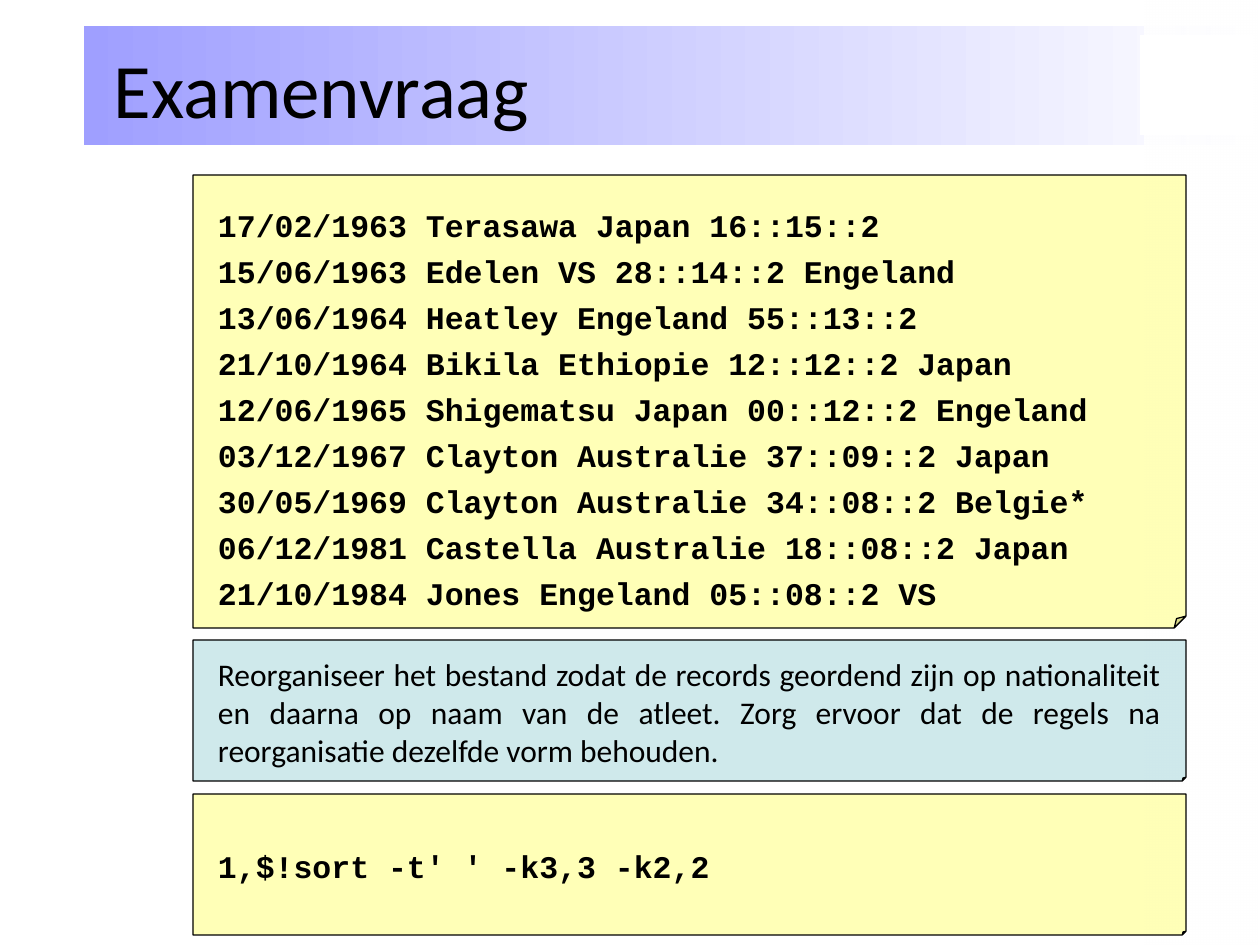
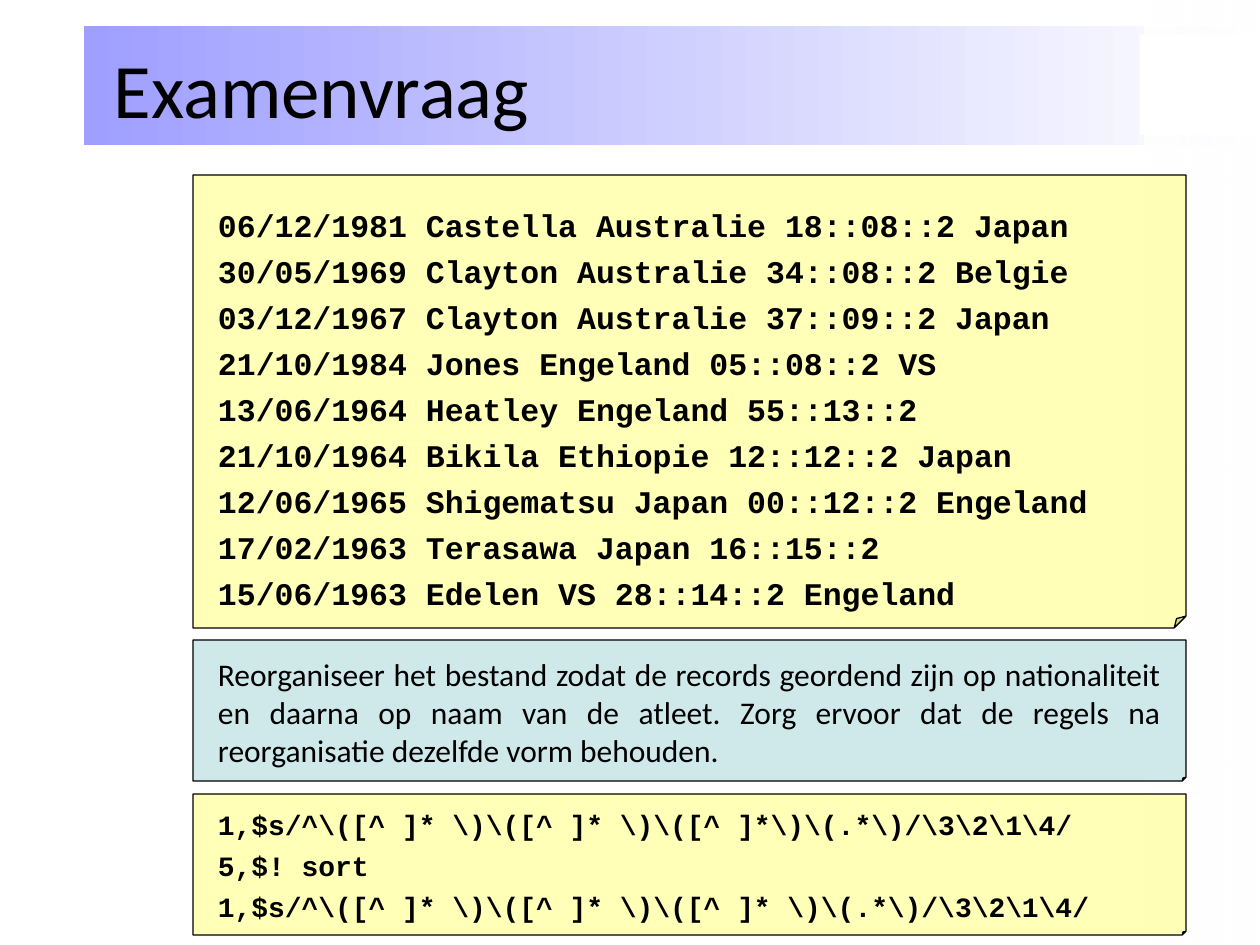
"""Build two exam-question slides about sorting marathon records."""
from dataclasses import dataclass

from lxml import etree
from pptx import Presentation
from pptx.dml.color import RGBColor
from pptx.enum.shapes import MSO_SHAPE
from pptx.enum.text import MSO_ANCHOR, MSO_AUTO_SIZE, PP_ALIGN
from pptx.oxml.ns import qn
from pptx.util import Emu, Pt

RECTANGLE = MSO_SHAPE.RECTANGLE
FOLDED_CORNER = MSO_SHAPE.FOLDED_CORNER
TOP, MIDDLE = MSO_ANCHOR.TOP, MSO_ANCHOR.MIDDLE
LEFT, JUSTIFY = PP_ALIGN.LEFT, PP_ALIGN.JUSTIFY
NO_AUTOFIT = MSO_AUTO_SIZE.NONE

PX_PER_INCH = 126
TITLE_ONLY = 5
BLACK, WHITE, LILAC, YELLOW, TEAL = "000000", "FFFFFF", "9F9FFF", "FFFF99", "BBE0E3"
SANS, MONO = "Calibri", "Courier New"
NOTE_OPACITY = 70
NOTE_FOLD = 2600
NOTE_LEFT, NOTE_WIDTH = 193, 993
NOTE_INSET, NOTE_TOP_INSET = 25, 31
LINE_GAP = 0.26

TITLE = "Examenvraag"
TASK = (
    "Reorganiseer het bestand zodat de records geordend zijn op nationaliteit "
    "en daarna op naam van de atleet. Zorg ervoor dat de regels na "
    "reorganisatie dezelfde vorm behouden."
)


@dataclass(frozen=True)
class Block:
    """A borderless rectangle whose fill fades from one colour to another."""
    left: int
    top: int
    width: int
    height: int
    start: str = WHITE
    end: str = WHITE
    end_opacity: int = 100


@dataclass(frozen=True)
class Note:
    """A folded note with one paragraph per line."""
    top: int
    height: int
    fill: str
    lines: list[str]
    font: str = MONO
    size: int = 18
    anchor: MSO_ANCHOR = MIDDLE
    align: PP_ALIGN = LEFT
    wrap: bool = True


@dataclass(frozen=True)
class Question:
    """The records and the commands that one slide shows."""
    records: list[str]
    commands: list[str]
    command_size: int = 18


BLOCKS = [
    Block(0, 0, 307, 945),
    Block(84, 26, 1176, 119, start=LILAC),
    Block(1145, 0, 113, 945, end_opacity=38),
    Block(1140, 35, 113, 100),
]

QUESTIONS = [
    Question(
        [
            "17/02/1963 Terasawa Japan 16::15::2",
            "15/06/1963 Edelen VS 28::14::2 Engeland",
            "13/06/1964 Heatley Engeland 55::13::2",
            "21/10/1964 Bikila Ethiopie 12::12::2 Japan",
            "12/06/1965 Shigematsu Japan 00::12::2 Engeland",
            "03/12/1967 Clayton Australie 37::09::2 Japan",
            "30/05/1969 Clayton Australie 34::08::2 Belgie*",
            "06/12/1981 Castella Australie 18::08::2 Japan",
            "21/10/1984 Jones Engeland 05::08::2 VS",
        ],
        ["1,$!sort -t' ' -k3,3 -k2,2"],
    ),
    Question(
        [
            "06/12/1981 Castella Australie 18::08::2 Japan",
            "30/05/1969 Clayton Australie 34::08::2 Belgie",
            "03/12/1967 Clayton Australie 37::09::2 Japan",
            "21/10/1984 Jones Engeland 05::08::2 VS",
            "13/06/1964 Heatley Engeland 55::13::2",
            "21/10/1964 Bikila Ethiopie 12::12::2 Japan",
            "12/06/1965 Shigematsu Japan 00::12::2 Engeland",
            "17/02/1963 Terasawa Japan 16::15::2",
            "15/06/1963 Edelen VS 28::14::2 Engeland",
        ],
        [
            r"1,$s/^\([^ ]* \)\([^ ]* \)\([^ ]*\)\(.*\)/\3\2\1\4/",
            "5,$! sort",
            r"1,$s/^\([^ ]* \)\([^ ]* \)\([^ ]* \)\(.*\)/\3\2\1\4/",
        ],
        command_size=16,
    ),
]


def px(length: int) -> Emu:
    """Turn pixels into EMU."""
    return Emu(round(length * 914400 / PX_PER_INCH))


def colour(value: str) -> RGBColor:
    """Turn a hex string into a colour."""
    return RGBColor.from_string(value)


def set_opacity(shape, percent: int) -> None:
    """Set the opacity of the last fill colour of a shape."""
    fill_colour = shape.element.spPr.findall(".//" + qn("a:srgbClr"))[-1]
    etree.SubElement(fill_colour, qn("a:alpha"), val=str(percent * 1000))


def set_fold(shape, size: int) -> None:
    """Set the size of the folded corner of a shape."""
    guides = shape.element.spPr.find(".//" + qn("a:avLst"))
    etree.SubElement(guides, qn("a:gd"), name="adj", fmla=f"val {size}")


def add_shape(page, kind: MSO_SHAPE, left: int, top: int, width: int, height: int):
    """Add a preset shape without a shadow."""
    shape = page.shapes.add_shape(kind, px(left), px(top), px(width), px(height))
    shape.shadow.inherit = False
    return shape


def format_text(paragraph, font: str, size: int, bold: bool = False) -> None:
    """Give every run of a paragraph its font."""
    for span in paragraph.runs:
        span.font.name = font
        span.font.size = Pt(size)
        span.font.bold = bold
        span.font.color.rgb = colour(BLACK)


def add_block(page, block: Block) -> None:
    """Draw one block of the slide background."""
    shape = add_shape(page, RECTANGLE, block.left, block.top, block.width, block.height)
    shape.fill.gradient()
    shape.fill.gradient_angle = 0
    for stop, value in zip(shape.fill.gradient_stops, (block.start, block.end)):
        stop.color.rgb = colour(value)
    if block.end_opacity < 100:
        set_opacity(shape, block.end_opacity)
    shape.line.fill.background()


def add_title(page) -> None:
    """Place the title in front of the band."""
    title = page.shapes.title
    title.element.getparent().append(title.element)
    title.left, title.top, title.width, title.height = map(px, (101, 9, 1031, 157))
    frame = title.text_frame
    frame.text = TITLE
    frame.auto_size = NO_AUTOFIT
    frame.vertical_anchor = MIDDLE
    frame.paragraphs[0].alignment = LEFT
    format_text(frame.paragraphs[0], SANS, 44)


def add_note(page, note: Note) -> None:
    """Draw a folded note and its lines."""
    shape = add_shape(page, FOLDED_CORNER, NOTE_LEFT, note.top, NOTE_WIDTH, note.height)
    set_fold(shape, NOTE_FOLD)
    shape.fill.solid()
    shape.fill.fore_color.rgb = colour(note.fill)
    set_opacity(shape, NOTE_OPACITY)
    shape.line.color.rgb = colour(BLACK)
    shape.line.width = Pt(0.75)
    frame = shape.text_frame
    frame.text = "\n".join(note.lines)
    frame.word_wrap = note.wrap
    frame.vertical_anchor = note.anchor
    frame.margin_left = frame.margin_right = frame.margin_bottom = px(NOTE_INSET)
    frame.margin_top = px(NOTE_TOP_INSET)
    for index, paragraph in enumerate(frame.paragraphs):
        paragraph.alignment = note.align
        if index:
            paragraph.space_before = Pt(note.size * LINE_GAP)
        format_text(paragraph, note.font, note.size, bold=note.font == MONO)


def add_question(deck, question: Question) -> None:
    """Add the slide of one question."""
    page = deck.slides.add_slide(deck.slide_layouts[TITLE_ONLY])
    for block in BLOCKS:
        add_block(page, block)
    add_title(page)
    notes = [
        Note(175, 453, YELLOW, question.records, anchor=TOP, wrap=False),
        Note(640, 141, TEAL, [TASK], font=SANS, align=JUSTIFY),
        Note(794, 141, YELLOW, question.commands, size=question.command_size),
    ]
    for note in notes:
        add_note(page, note)


def main() -> None:
    """Build and save the deck."""
    deck = Presentation()
    deck.slide_width, deck.slide_height = px(1260), px(945)
    for question in QUESTIONS:
        add_question(deck, question)
    deck.save("out.pptx")


if __name__ == "__main__":
    main()
